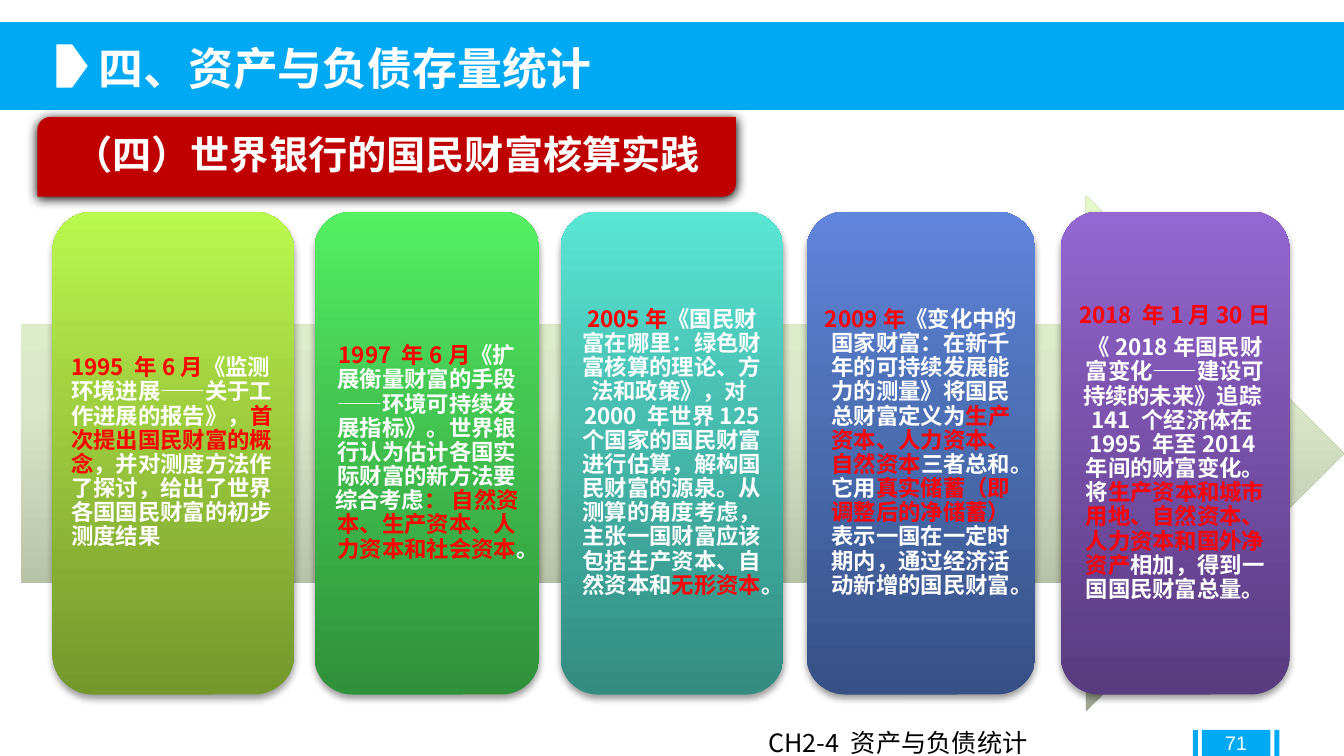
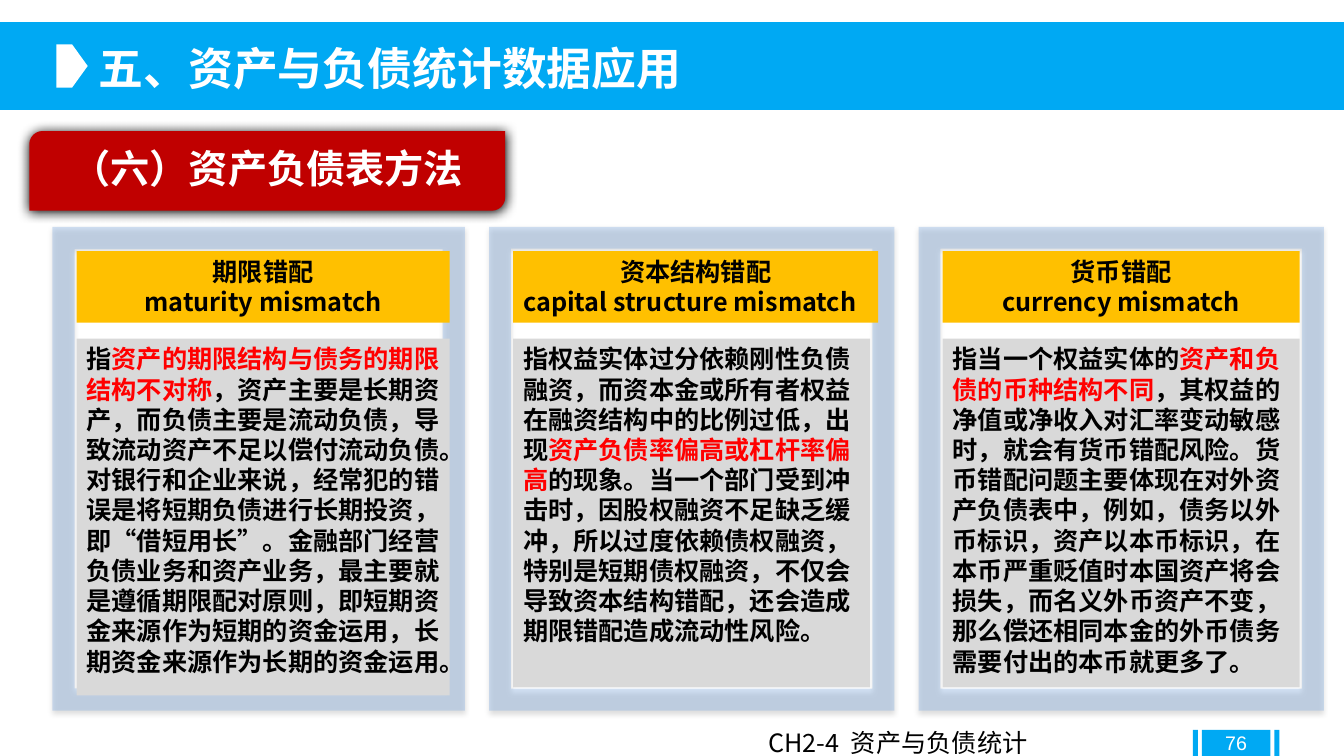
"""Build two slides on balance sheet statistics and their use."""
from dataclasses import dataclass
from typing import NamedTuple

from lxml.etree import SubElement
from pptx import Presentation
from pptx.dml.color import RGBColor
from pptx.enum.shapes import MSO_SHAPE
from pptx.enum.text import MSO_ANCHOR, PP_ALIGN
from pptx.oxml.ns import qn
from pptx.shapes.autoshape import Shape
from pptx.slide import Slide
from pptx.util import Inches, Pt

CJK_FONT = "Noto Sans CJK SC"
NUMBER_FONT = "Arial"
BLUE = RGBColor(0x00, 0xA9, 0xF3)
CRIMSON = RGBColor(0xC0, 0x00, 0x00)
RED = RGBColor(0xFF, 0x00, 0x00)
WHITE = RGBColor(0xFF, 0xFF, 0xFF)
BLACK = RGBColor(0x00, 0x00, 0x00)
AMBER = RGBColor(0xFF, 0xC0, 0x00)
GREY = RGBColor(0xD9, 0xD9, 0xD9)
FRAME_BLUE = RGBColor(0x8E, 0xB4, 0xE3)
ARROW_COLORS = (RGBColor(0x9E, 0xA7, 0x90), RGBColor(0xDA, 0xE7, 0xC8), RGBColor(0xE5, 0xF8, 0xCA))
LIME = (RGBColor(0x74, 0x97, 0x2C), RGBColor(0xA0, 0xCF, 0x3F), RGBColor(0xBA, 0xF9, 0x4D))
GREEN = (RGBColor(0x2F, 0x91, 0x3A), RGBColor(0x44, 0xC7, 0x52), RGBColor(0x53, 0xF0, 0x61))
TEAL = (RGBColor(0x33, 0x8B, 0x81), RGBColor(0x48, 0xBF, 0xB2), RGBColor(0x59, 0xE6, 0xD5))
NAVY = (RGBColor(0x37, 0x50, 0x85), RGBColor(0x4D, 0x70, 0xB6), RGBColor(0x60, 0x85, 0xDC))
PURPLE = (RGBColor(0x59, 0x3B, 0x7F), RGBColor(0x7C, 0x53, 0xAE), RGBColor(0x94, 0x67, 0xD2))
GRADIENT_STOPS = (0, 60, 100)
FOOTER = "CH2-4 资产与负债统计"


class Area(NamedTuple):
    """Left, top, width and height in inches."""

    left: float
    top: float
    width: float
    height: float


class Span(NamedTuple):
    """Text of one run, highlighted in red or not."""

    text: str
    strong: bool = False


class Shadow(NamedTuple):
    """Opacity in percent, blur and distance in points of a downward shadow."""

    opacity: int
    blur: float
    distance: float


@dataclass(frozen=True)
class TextStyle:
    """Look of the paragraphs in a box."""

    size: int
    color: RGBColor
    bold: bool = True
    align: PP_ALIGN = PP_ALIGN.LEFT
    font: str = CJK_FONT
    line_spacing: float = 1.0
    space_after: float = 0


@dataclass(frozen=True)
class Milestone:
    """One report card on the timeline."""

    left: float
    width: float
    colors: tuple[RGBColor, ...]
    paragraphs: list[list[Span]]
    align: PP_ALIGN = PP_ALIGN.CENTER


@dataclass(frozen=True)
class Mismatch:
    """One framed panel explaining a kind of mismatch."""

    left: float
    frame_width: float
    header_width: float
    body_width: float
    body_height: float
    name: str
    term: str
    spans: list[Span]
    term_align: PP_ALIGN = PP_ALIGN.CENTER


BADGE_SHADOW = Shadow(100, 8.5, 1)
CARD_SHADOW = Shadow(40, 5.2, 3)
FRAME_SHADOW = Shadow(32, 3.5, 2.2)
TITLE_STYLE = TextStyle(32, WHITE)
BADGE_STYLE = TextStyle(28, WHITE, align=PP_ALIGN.CENTER, line_spacing=0.9)
FOOTER_STYLE = TextStyle(18, BLACK, bold=False)
NUMBER_STYLE = TextStyle(14, WHITE, bold=False, align=PP_ALIGN.CENTER, font=NUMBER_FONT)
BODY_STYLE = TextStyle(18, BLACK)

MILESTONES = [
    Milestone(0.52, 2.4, LIME, [[
        Span("1995 年6月", True),
        Span("《监测环境进展——关于工作进展的报告》，"),
        Span("首次提出国民财富的概念", True),
        Span("，并对测度方法作了探讨，给出了世界各国国民财富的初步测度结果"),
    ]], PP_ALIGN.LEFT),
    Milestone(3.12, 2.23, GREEN, [[
        Span("1997 年6月", True),
        Span("《扩展衡量财富的手段——环境可持续发展指标》。世界银行认为估计各国实际财富的新方法要综合考虑"),
        Span("： 自然资本、生产资本、人力资本和社会资本", True),
        Span("。"),
    ]]),
    Milestone(5.56, 2.21, TEAL, [[
        Span("2005年", True),
        Span("《国民财富在哪里：绿色财富核算的理论、方法和政策》，对2000 年世界125 个国家的国民财富进行估算，"
             "解构国民财富的源泉。从测算的角度考虑，主张一国财富应该包括生产资本、自然资本和"),
        Span("无形资本", True),
        Span("。"),
    ]]),
    Milestone(8, 2.27, NAVY, [[
        Span("2009年", True),
        Span("《变化中的国家财富：在新千年的可持续发展能力的测量》将国民总财富定义为"),
        Span("生产资本、人力资本、自然资本", True),
        Span("三者总和。它用"),
        Span("真实储蓄（即调整后的净储蓄）", True),
        Span("表示一国在一定时期内，通过经济活动新增的国民财富。"),
    ]]),
    Milestone(10.52, 2.27, PURPLE, [
        [Span("2018 年1月30日", True)],
        [
            Span("《2018年国民财富变化——建设可持续的未来》追踪141 个经济体在1995 年至2014年间的财富变化。将"),
            Span("生产资本和城市用地、自然资本、人力资本和国外净资产", True),
            Span("相加，得到一国国民财富总量。"),
        ],
    ]),
]

MISMATCHES = [
    Mismatch(0.52, 4.09, 3.7, 3.7, 3.54, "期限错配", "maturity mismatch", [
        Span("指"),
        Span("资产的期限结构与债务的期限结构不对称", True),
        Span("，资产主要是长期资产，而负债主要是流动负债，导致流动资产不足以偿付流动负债。"
             "对银行和企业来说，经常犯的错误是将短期负债进行长期投资，即“借短用长”。"
             "金融部门经营负债业务和资产业务，最主要就是遵循期限配对原则，"
             "即短期资金来源作为短期的资金运用，长期资金来源作为长期的资金运用。"),
    ]),
    Mismatch(4.85, 4.02, 3.62, 3.54, 3.46, "资本结构错配", "capital structure mismatch", [
        Span("指权益实体过分依赖刚性负债融资，而资本金或所有者权益在融资结构中的比例过低，出现"),
        Span("资产负债率偏高或杠杆率偏高", True),
        Span("的现象。当一个部门受到冲击时，因股权融资不足缺乏缓冲，所以过度依赖债权融资，"
             "特别是短期债权融资，不仅会导致资本结构错配，还会造成期限错配造成流动性风险。"),
    ], PP_ALIGN.LEFT),
    Mismatch(9.11, 4.02, 3.54, 3.54, 3.46, "货币错配", "currency mismatch", [
        Span("指当一个权益实体的"),
        Span("资产和负债的币种结构不同", True),
        Span("，其权益的净值或净收入对汇率变动敏感时，就会有货币错配风险。"
             "货币错配问题主要体现在对外资产负债表中，例如，债务以外币标识，资产以本币标识，"
             "在本币严重贬值时本国资产将会损失，而名义外币资产不变，"
             "那么偿还相同本金的外币债务需要付出的本币就更多了。"),
    ]),
]


def add_figure(page: Slide, kind: MSO_SHAPE, area: Area, color: RGBColor | None = None) -> Shape:
    """Add a preset shape without outline or inherited shadow."""
    figure = page.shapes.add_shape(kind, *map(Inches, area))
    figure.shadow.inherit = False
    figure.line.fill.background()
    if color is not None:
        figure.fill.solid()
        figure.fill.fore_color.rgb = color
    return figure


def apply_gradient(figure: Shape, colors: tuple[RGBColor, ...]) -> None:
    """Fill a shape with a gradient rising from its lower edge."""
    figure.fill.gradient()
    figure.fill.gradient_angle = 90
    stops = figure._element.spPr.find(qn("a:gradFill")).find(qn("a:gsLst"))
    for stop in list(stops):
        stops.remove(stop)
    for position, color in zip(GRADIENT_STOPS, colors):
        stop = SubElement(stops, qn("a:gs"), pos=str(position * 1000))
        SubElement(stop, qn("a:srgbClr"), val=str(color))


def apply_shadow(figure: Shape, shadow: Shadow) -> None:
    """Give a shape a soft black shadow below it."""
    effects = figure._element.spPr.find(qn("a:effectLst"))
    outer = SubElement(effects, qn("a:outerShdw"), blurRad=str(Pt(shadow.blur)),
                       dist=str(Pt(shadow.distance)), dir="5400000", rotWithShape="0")
    black = SubElement(outer, qn("a:srgbClr"), val=str(BLACK))
    SubElement(black, qn("a:alpha"), val=str(shadow.opacity * 1000))


def write_text(box: Shape, paragraphs: list[list[Span]], style: TextStyle,
               anchor: MSO_ANCHOR = MSO_ANCHOR.TOP,
               margins: tuple[float, float] = (0.1, 0.05), wrap: bool = True) -> None:
    """Write paragraphs into a box run by run."""
    frame = box.text_frame
    frame.word_wrap = wrap
    frame.vertical_anchor = anchor
    frame.margin_left = frame.margin_right = Inches(margins[0])
    frame.margin_top = frame.margin_bottom = Inches(margins[1])
    for index, spans in enumerate(paragraphs):
        para = frame.add_paragraph() if index else frame.paragraphs[0]
        para.alignment = style.align
        para.line_spacing = style.line_spacing
        para.space_after = Pt(style.space_after)
        for span in spans:
            run = para.add_run()
            run.text = span.text
            run.font.size = Pt(style.size)
            run.font.bold = style.bold
            run.font.name = style.font
            run.font.color.rgb = RED if span.strong else style.color
            properties = run._r.get_or_add_rPr()
            properties.set("lang", "zh-CN")
            SubElement(properties, qn("a:ea"), typeface=style.font)


def add_label(page: Slide, area: Area, text: str, style: TextStyle,
              anchor: MSO_ANCHOR = MSO_ANCHOR.TOP, wrap: bool = True) -> None:
    """Add a one-line text box."""
    box = page.shapes.add_textbox(*map(Inches, area))
    write_text(box, [[Span(text)]], style, anchor, wrap=wrap)


def add_page(deck: Presentation, title: str, number: int) -> Slide:
    """Add a slide with the title band and the footer."""
    page = deck.slides.add_slide(deck.slide_layouts[6])
    add_figure(page, MSO_SHAPE.RECTANGLE, Area(0, 0.22, 13.33, 0.87), BLUE)
    for left, width in ((11.83, 0.05), (11.92, 0.68), (12.64, 0.05)):
        add_figure(page, MSO_SHAPE.RECTANGLE, Area(left, 7.24, width, 0.27), BLUE)
    add_figure(page, MSO_SHAPE.PENTAGON, Area(0.56, 0.44, 0.31, 0.43), WHITE)
    add_label(page, Area(0.88, 0.35, 6.04, 0.64), title, TITLE_STYLE, wrap=False)
    add_label(page, Area(7.52, 7.17, 4.29, 0.4), FOOTER, FOOTER_STYLE)
    add_label(page, Area(11.92, 7.17, 0.68, 0.4), str(number), NUMBER_STYLE, MSO_ANCHOR.MIDDLE)
    return page


def add_badge(page: Slide, area: Area, text: str) -> None:
    """Add the red section heading."""
    badge = add_figure(page, MSO_SHAPE.ROUND_2_DIAG_RECTANGLE, area, CRIMSON)
    apply_shadow(badge, BADGE_SHADOW)
    write_text(badge, [[Span(text)]], BADGE_STYLE, MSO_ANCHOR.MIDDLE, (0.31, 0.12))


def add_milestone(page: Slide, milestone: Milestone) -> None:
    """Add a timeline card."""
    card = add_figure(page, MSO_SHAPE.ROUNDED_RECTANGLE,
                      Area(milestone.left, 2.1, milestone.width, 4.79))
    apply_gradient(card, milestone.colors)
    apply_shadow(card, CARD_SHADOW)
    style = TextStyle(16, WHITE, align=milestone.align, line_spacing=0.9, space_after=6)
    write_text(card, milestone.paragraphs, style, MSO_ANCHOR.MIDDLE, (0.07, 0.07))


def add_mismatch(page: Slide, panel: Mismatch) -> None:
    """Add a frame with its heading and explanation."""
    frame = add_figure(page, MSO_SHAPE.FRAME, Area(panel.left, 2.25, panel.frame_width, 4.8), FRAME_BLUE)
    frame.adjustments[0] = 0.054
    color = frame._element.spPr.find(qn("a:solidFill")).find(qn("a:srgbClr"))
    SubElement(color, qn("a:alpha"), val="40000")
    apply_shadow(frame, FRAME_SHADOW)
    inner_left = panel.left + 0.24
    header = add_figure(page, MSO_SHAPE.RECTANGLE, Area(inner_left, 2.49, panel.header_width, 0.71), AMBER)
    write_text(header, [[Span(panel.name)], [Span(panel.term)]],
               TextStyle(18, BLACK, align=PP_ALIGN.CENTER))
    header.text_frame.paragraphs[1].alignment = panel.term_align
    body = add_figure(page, MSO_SHAPE.RECTANGLE,
                      Area(inner_left, 3.36, panel.body_width, panel.body_height), GREY)
    write_text(body, [panel.spans], BODY_STYLE)


def main() -> None:
    """Build and save the deck."""
    deck = Presentation()
    deck.slide_width, deck.slide_height = Inches(13.33), Inches(7.5)

    page = add_page(deck, "四、资产与负债存量统计", 71)
    add_badge(page, Area(0.37, 1.16, 6.93, 0.79), "（四）世界银行的国民财富核算实践")
    arrow = add_figure(page, MSO_SHAPE.RIGHT_ARROW, Area(0.21, 1.94, 13.12, 5.12))
    apply_gradient(arrow, ARROW_COLORS)
    for milestone in MILESTONES:
        add_milestone(page, milestone)

    page = add_page(deck, "五、资产与负债统计数据应用", 76)
    for panel in MISMATCHES:
        add_mismatch(page, panel)
    add_badge(page, Area(0.29, 1.3, 4.72, 0.79), "（六）资产负债表方法")

    deck.save("out.pptx")


if __name__ == "__main__":
    main()
